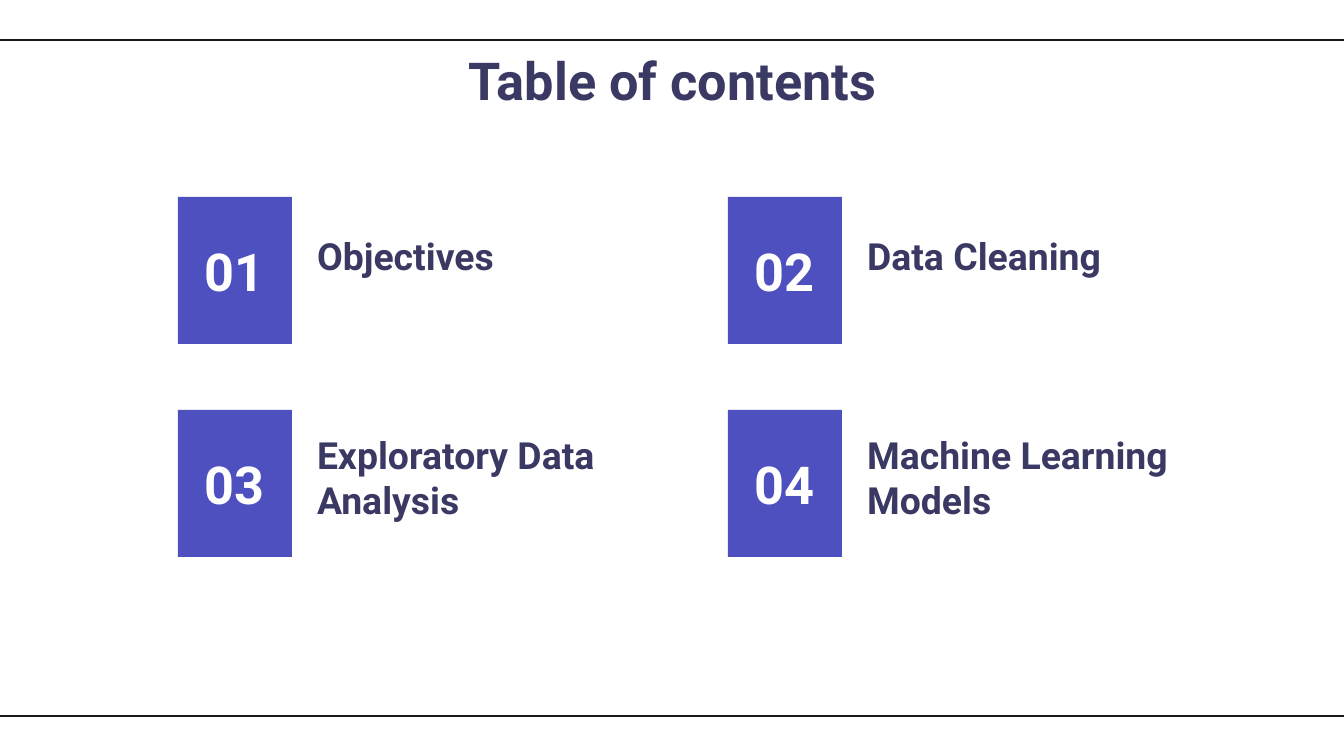
from pptx import Presentation
from pptx.dml.color import RGBColor
from pptx.enum.shapes import MSO_CONNECTOR, MSO_SHAPE
from pptx.enum.text import MSO_ANCHOR, MSO_AUTO_SIZE, PP_ALIGN
from pptx.oxml.ns import qn
from pptx.util import Pt
from lxml.etree import SubElement

W, H = 1344, 756
SCALE = 9144000 / W
INDIGO, NAVY, WHITE, BLACK = "4F50C0", "3A3963", "FFFFFF", "181818"


def px(*lengths):
    return [round(n * SCALE) for n in lengths]


def write(shape, text, size, color, align, anchor):
    tf = shape.text_frame
    tf.word_wrap = True
    tf.auto_size = MSO_AUTO_SIZE.NONE
    tf.vertical_anchor = anchor
    tf.margin_left, tf.margin_top, tf.margin_right, tf.margin_bottom = px(13, 13, 13, 13)
    p = tf.paragraphs[0]
    p.text = text
    p.alignment = align
    p.font.name, p.font.size, p.font.bold = "Roboto", Pt(size), True
    p.font.color.rgb = RGBColor.from_string(color)


prs = Presentation()
prs.slide_width, prs.slide_height = px(W, H)
s = prs.slides.add_slide(prs.slide_layouts[5])
s.background.fill.solid()
s.background.fill.fore_color.rgb = RGBColor.from_string(WHITE)

# Top and bottom rules
for y in (40, 716):
    line = s.shapes.add_connector(MSO_CONNECTOR.STRAIGHT, *px(W, y, 0, y))
    line.line.color.rgb = RGBColor.from_string(BLACK)
    line.line.width = Pt(0.75)
    SubElement(line._element.spPr, qn("a:effectLst"))

# Title
title = s.shapes.title
title.left, title.top, title.width, title.height = px(106, 35, 1133, 85)
write(title, "Table of contents", 28, NAVY, PP_ALIGN.CENTER, MSO_ANCHOR.TOP)

# Numbered sections, two per row
sections = ["Objectives", "Data Cleaning",
            "Exploratory Data Analysis", "Machine Learning Models"]
rows = [(197, 173), (410, 417)]  # top of number box, top of label
for i, section in enumerate(sections):
    x = 178 + i % 2 * 550
    box_y, label_y = rows[i // 2]
    box = s.shapes.add_shape(MSO_SHAPE.RECTANGLE, *px(x, box_y, 114, 147))
    box.shadow.inherit = False
    box.fill.solid()
    box.fill.fore_color.rgb = RGBColor.from_string(INDIGO)
    box.line.fill.background()
    write(box, f"{i + 1:02}", 28, WHITE, PP_ALIGN.CENTER, MSO_ANCHOR.MIDDLE)

    label = s.shapes.add_textbox(*px(x + 126, label_y, 339, 118))
    write(label, section, 20, NAVY, PP_ALIGN.LEFT, MSO_ANCHOR.BOTTOM)

prs.save("out.pptx")
